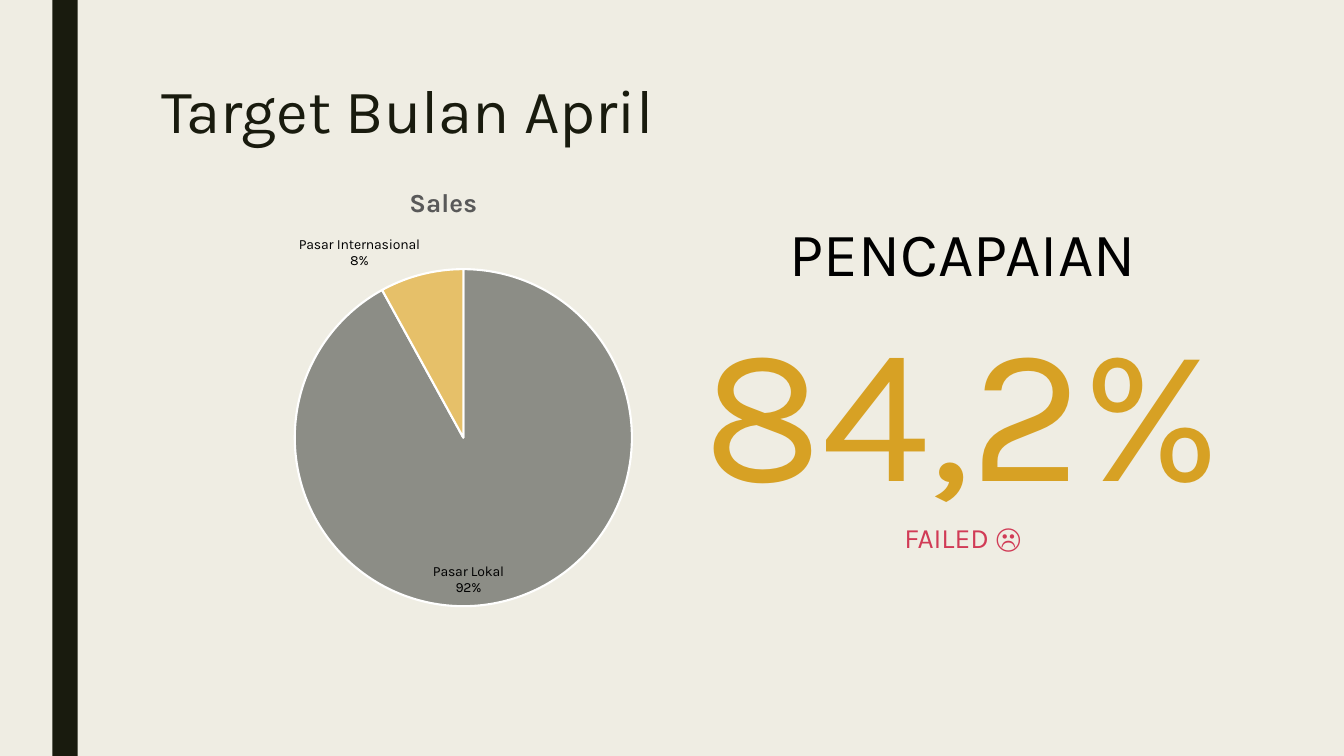
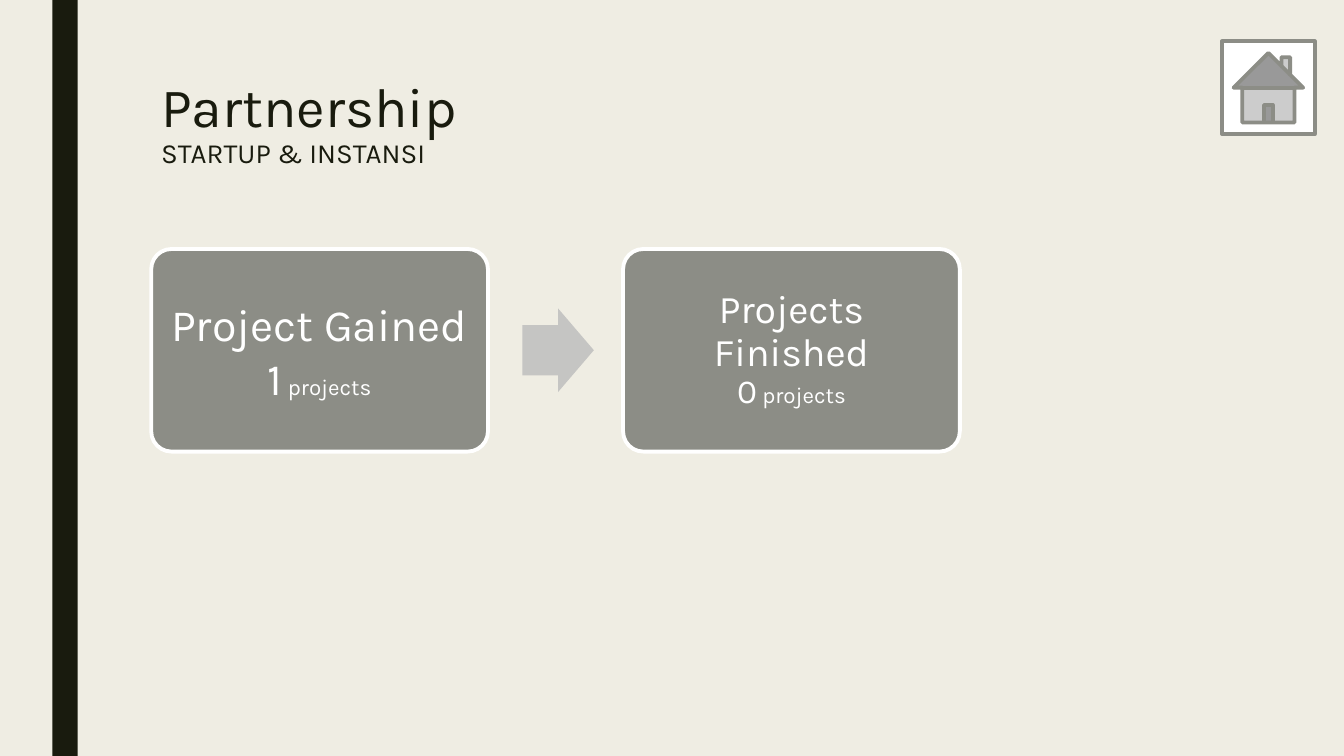
from pptx import Presentation
from pptx.chart.data import CategoryChartData
from pptx.dml.color import RGBColor
from pptx.enum.chart import XL_CHART_TYPE, XL_LABEL_POSITION as LabelPos
from pptx.enum.shapes import MSO_SHAPE as Shape
from pptx.enum.text import MSO_ANCHOR as Anchor, PP_ALIGN as Align
from pptx.oxml import parse_xml
from pptx.oxml.ns import nsdecls, qn
from pptx.util import Inches, Pt

FONT = "Karla"
PAPER, INK, GREY, GOLD = "EFEDE3", "191B0E", "8C8D86", "D7A124"
SAND, SILVER, RED = "E6C069", "C5C5C3", "D13B56"
WHITE, BLACK, CHART_TITLE = "FFFFFF", "000000", "595959"


def rgb(value):
    return RGBColor.from_string(value)


def style(font, size, color):
    font.name, font.size, font.color.rgb = FONT, Pt(size), rgb(color)


def add_shape(s, kind, x, y, w, h, fill, line=None):
    sp = s.shapes.add_shape(kind, Inches(x), Inches(y), Inches(w), Inches(h))
    sp.shadow.inherit = False
    sp.fill.solid()
    sp.fill.fore_color.rgb = rgb(fill)
    if line:
        sp.line.color.rgb = rgb(line)
        sp.line.width = Pt(2.75)
    else:
        sp.line.fill.background()
    return sp


def add_text_box(s, x, y, w, h):
    tf = s.shapes.add_textbox(Inches(x), Inches(y), Inches(w), Inches(h)).text_frame
    tf.word_wrap = True
    return tf


def fill_lines(p, lines, color):
    """Write lines of (text, size) runs; the first run sets the paragraph size."""
    style(p.font, lines[0][0][1], color)
    base = lines[0][0][1]
    for i, line in enumerate(lines):
        if i:
            p.add_line_break()
        for text, size in line:
            r = p.add_run()
            r.text = text
            if size != base:
                r.font.size = Pt(size)


def new_slide(prs, title_lines):
    """Blank slide with the shared background, side band and title."""
    s = prs.slides.add_slide(prs.slide_layouts[6])
    s.background.fill.solid()
    s.background.fill.fore_color.rgb = rgb(PAPER)
    add_shape(s, Shape.RECTANGLE, 0.52, 0, 0.25, 7.5, INK)
    p = add_text_box(s, 1.5, 0.75, 10.5, 1.62).paragraphs[0]
    p.line_spacing = 0.89
    fill_lines(p, title_lines, INK)
    return s


def set_layout(parent, index, inner=False, **fractions):
    """Fix the place of a chart part, in fractions of the chart."""
    for old in parent.findall(qn("c:layout")):
        parent.remove(old)
    target = '<c:layoutTarget val="inner"/>' if inner else ""
    modes = "".join(f'<c:{k}Mode val="edge"/>' for k in "xy")
    values = "".join(f'<c:{k} val="{v}"/>' for k, v in fractions.items())
    parent.insert(index, parse_xml(
        f'<c:layout {nsdecls("c")}><c:manualLayout>{target}{modes}{values}'
        "</c:manualLayout></c:layout>"))


def sales_pie(s, x, y, w, h):
    data = CategoryChartData()
    data.categories = ["Pasar Lokal", "Pasar Internasional"]
    data.add_series("Sales", [92, 8])
    chart = s.shapes.add_chart(XL_CHART_TYPE.PIE, Inches(x), Inches(y),
                               Inches(w), Inches(h), data).chart
    style(chart.font, 10, BLACK)
    chart.has_legend = False

    # Title and plot area
    p = chart.chart_title.text_frame.paragraphs[0]
    p.add_run().text = "Sales"
    style(p.runs[0].font, 18.6, CHART_TITLE)
    set_layout(chart._chartSpace.find(".//" + qn("c:title")), 1, x=0.46, y=0.05)
    set_layout(chart._chartSpace.find(".//" + qn("c:plotArea")), 0, inner=True,
               x=0.31, y=0.24, w=0.46, h=0.73)

    # Slices and their labels
    plot = chart.plots[0]
    plot.vary_by_categories = True
    slices = [(GREY, LabelPos.INSIDE_END), (SAND, LabelPos.OUTSIDE_END)]
    for i, (color, position) in enumerate(slices):
        point = plot.series[0].points[i]
        point.format.fill.solid()
        point.format.fill.fore_color.rgb = rgb(color)
        point.format.line.color.rgb = rgb(WHITE)
        point.format.line.width = Pt(1.5)
        style(point.data_label.font, 10, BLACK)
        point.data_label.position = position
    for label in chart._chartSpace.iter(qn("c:dLbl")):
        for tag, on in (("showVal", 0), ("showCatName", 1), ("showPercent", 1)):
            label.find(qn("c:" + tag)).set("val", str(on))
        label.append(parse_xml(f'<c:separator {nsdecls("c")}>\n</c:separator>'))


def achievement(s, x, y, w, h):
    tf = add_text_box(s, x, y, w, h)
    rows = [("PENCAPAIAN", 44, BLACK), ("84,2%", 138, GOLD), ("FAILED ☹", 20, RED)]
    for i, (text, size, color) in enumerate(rows):
        p = tf.add_paragraph() if i else tf.paragraphs[0]
        p.alignment = Align.CENTER
        fill_lines(p, [[(text, size)]], color)


def project_card(s, x, y, w, h, lines, spacing):
    sp = add_shape(s, Shape.ROUNDED_RECTANGLE, x, y, w, h, GREY, WHITE)
    sp.adjustments[0] = 0.1
    tf = sp.text_frame
    tf.word_wrap = True
    tf.vertical_anchor = Anchor.MIDDLE
    tf.margin_left = tf.margin_right = tf.margin_top = tf.margin_bottom = Inches(0.12)
    p = tf.paragraphs[0]
    p.alignment = Align.CENTER
    p.line_spacing = spacing
    fill_lines(p, lines, WHITE)


def project_flow(s, x, y):
    w, h, step = 3.34, 2.01, 4.68
    arrow_w, arrow_h = 0.71, 0.83
    cards = [
        ([[("Project Gained", 32)], [("1", 32), (" projects", 16)]], 1.0),
        ([[("Projects Finished", 28)], [("0", 24), (" projects", 16)]], 0.9),
    ]
    for i, (lines, spacing) in enumerate(cards):
        project_card(s, x + i * step, y, w, h, lines, spacing)
    arrow = add_shape(s, Shape.RIGHT_ARROW, x + w + 0.34, y + (h - arrow_h) / 2,
                      arrow_w, arrow_h, SILVER)
    arrow.adjustments[0] = 0.6


def target_slide(prs):
    s = new_slide(prs, [[("Target Bulan April", 44)]])
    sales_pie(s, 0.67, 1.56, 7.27, 4.6)
    achievement(s, 6.68, 2.08, 5.74, 3.5)


def partnership_slide(prs):
    s = new_slide(prs, [[("Partnership", 39.6)], [("STARTUP & INSTANSI", 19.8)]])
    project_flow(s, 1.5, 2.47)
    add_shape(s, Shape.ACTION_BUTTON_HOME, 12.12, 0.41, 0.92, 0.92, WHITE, GREY)


def main():
    prs = Presentation()
    prs.slide_width, prs.slide_height = Inches(13.33), Inches(7.5)
    target_slide(prs)
    partnership_slide(prs)
    prs.save("out.pptx")


if __name__ == "__main__":
    main()
